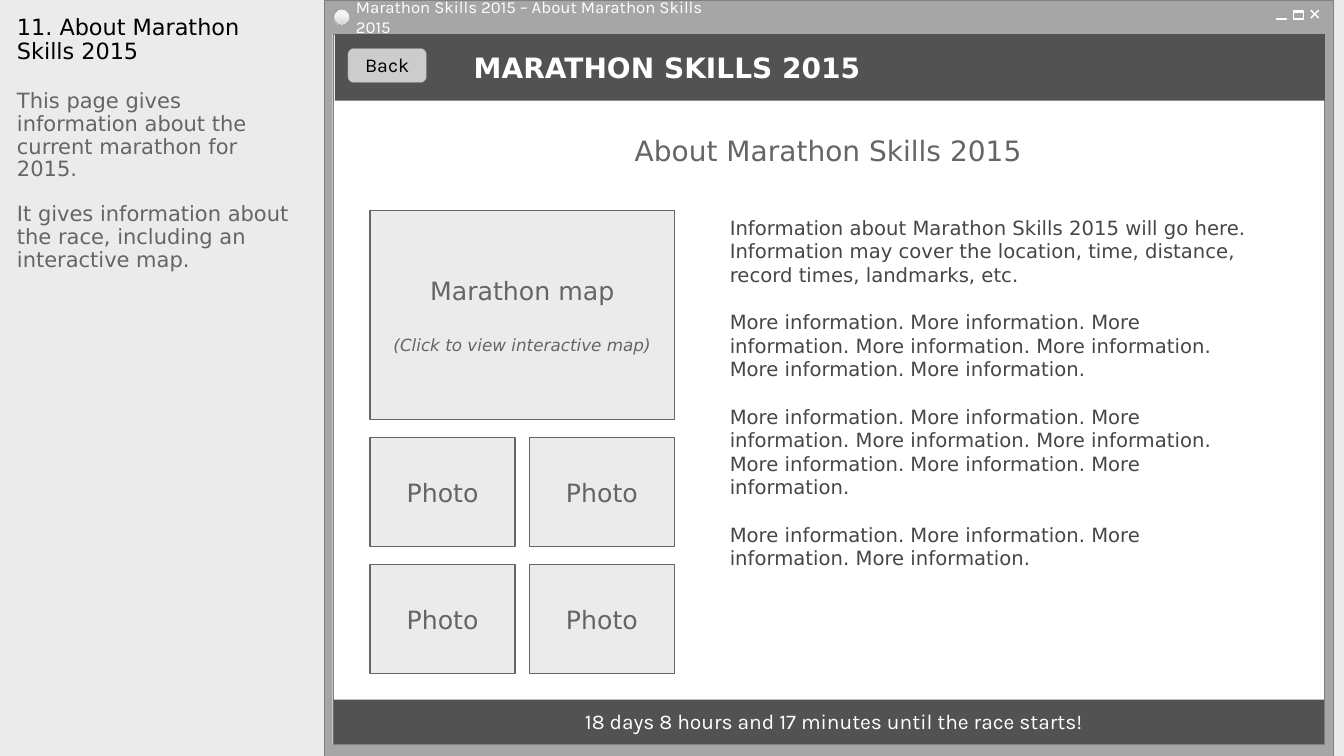
from copy import deepcopy

from lxml.etree import SubElement
from pptx import Presentation
from pptx.dml.color import RGBColor
from pptx.enum.shapes import MSO_CONNECTOR, MSO_SHAPE
from pptx.enum.text import MSO_ANCHOR, PP_ALIGN
from pptx.oxml.ns import qn
from pptx.util import Inches, Pt

COLORS = {
    "white": "FFFFFF", "black": "000000", "paper": "EBEBEB", "frame": "A6A6A6",
    "edge": "808080", "bar": "525252", "button": "CCCCCC", "control": "919191",
    "muted": "656565", "body": "464646", "light": "F2F2F2", "shade": "D9D9D9",
}
SANS, KARLA = "DejaVu Sans", "Karla"
SLIM = (0.1, 0.02, 0.1, 0.03)
NORMAL = (0.1, 0.05, 0.1, 0.05)


def rgb(name):
    return RGBColor.from_string(COLORS[name])


class Wireframe:
    def __init__(self, prs):
        self.slide = prs.slides.add_slide(prs.slide_layouts[6])
        self.shapes = self.slide.shapes
        fill = self.slide.background.fill
        fill.solid()
        fill.fore_color.rgb = rgb("paper")

    def panel(self, box, fill=None, line=None, width=0.25, kind=MSO_SHAPE.RECTANGLE):
        sp = self.shapes.add_shape(kind, *map(Inches, box))
        sp.shadow.inherit = False
        if fill:
            sp.fill.solid()
            sp.fill.fore_color.rgb = rgb(fill)
        else:
            sp.fill.background()
        if line:
            sp.line.color.rgb = rgb(line)
            sp.line.width = Pt(width)
        else:
            sp.line.fill.background()
        return sp

    def orb(self, box, stops):
        sp = self.panel(box, "light", "edge", kind=MSO_SHAPE.OVAL)
        sp.fill.gradient()
        sp.fill.gradient_angle = 270
        gs_list = sp._element.spPr.find(qn("a:gradFill")).find(qn("a:gsLst"))
        gs_list.append(deepcopy(gs_list[0]))
        for stop, (position, color) in zip(sp.fill.gradient_stops, stops):
            stop.position = position
            stop.color.rgb = rgb(color)

    def line(self, x1, y1, x2, y2, color, width):
        cx = self.shapes.add_connector(
            MSO_CONNECTOR.STRAIGHT, *map(Inches, (x1, y1, x2, y2)))
        cx.line.color.rgb = rgb(color)
        cx.line.width = Pt(width)
        SubElement(cx._element.spPr, qn("a:effectLst"))

    def add_text(self, sp, texts, size, color, font=SANS, align=PP_ALIGN.LEFT,
                 anchor=MSO_ANCHOR.MIDDLE, insets=SLIM, bold=False, gap=0, spacing=1.0):
        tf = sp.text_frame
        tf.word_wrap = True
        tf.vertical_anchor = anchor
        tf.margin_left, tf.margin_top, tf.margin_right, tf.margin_bottom = map(Inches, insets)
        for i, text in enumerate(texts):
            p = tf.paragraphs[0] if i == 0 else tf.add_paragraph()
            p.alignment = align
            p.line_spacing = spacing
            p.space_before = Pt(gap if i else 0)
            r = p.add_run()
            r.text = text
            r.font.name = font
            r.font.size = Pt(size)
            r.font.bold = bold
            r.font.color.rgb = rgb(color)
        return tf

    def label(self, box, texts, size, color, **style):
        sp = self.shapes.add_textbox(*map(Inches, box))
        return self.add_text(sp, texts, size, color, **style)

    def tile(self, box, texts, **style):
        sp = self.panel(box, "paper", "muted", 1)
        return self.add_text(sp, texts, 18, "muted", align=PP_ALIGN.CENTER,
                             insets=NORMAL, **style)


def draw_window(s):
    s.panel((3.22, 0, 10, 7.5), "frame", "edge")
    s.panel((3.3, 0.34, 9.83, 7.04), "white", "edge")
    s.label((3.48, 0.05, 3.93, 0.25), ["Marathon Skills 2015 – About Marathon Skills 2015"],
            12, "white", font=KARLA, insets=(0.05, 0.02, 0.1, 0.03))
    s.line(13, 0.1, 13.08, 0.18, "white", 1)
    s.line(13.08, 0.1, 13, 0.18, "white", 1)
    s.panel((12.83, 0.11, 0.1, 0.01), "control", "white")
    s.panel((12.83, 0.11, 0.1, 0.08), None, "white", 1)
    s.panel((12.66, 0.18, 0.1, 0.01), "control", "white")
    s.orb((3.31, 0.09, 0.16, 0.16), [(0.36, "light"), (0.91, "shade"), (1, "light")])


def draw_bars(s):
    s.panel((3.32, 0.34, 9.82, 0.66), "bar")
    s.label((4.6, 0.48, 4.26, 0.39), ["MARATHON SKILLS 2015"], 20, "white", bold=True)
    s.panel((3.31, 6.94, 9.82, 0.44), "bar")
    s.label((4.33, 7.01, 7.88, 0.3),
            ["18 days 8 hours and 17 minutes until the race starts!"],
            15, "white", font=KARLA, align=PP_ALIGN.CENTER)
    back = s.panel((3.45, 0.48, 0.78, 0.34), "button", "edge",
                   kind=MSO_SHAPE.ROUNDED_RECTANGLE)
    s.add_text(back, ["Back"], 14, "black", font=KARLA, align=PP_ALIGN.CENTER,
               insets=(0.1, 0, 0.1, 0.01))


def draw_sidebar(s):
    style = dict(anchor=MSO_ANCHOR.TOP, insets=NORMAL, spacing=0.9)
    s.label((0.07, 0.11, 3.01, 0.73), ["11. About Marathon Skills 2015"],
            16, "black", **style)
    s.label((0.07, 0.85, 3.01, 6.47), [
        "This page gives information about the current marathon for 2015.",
        "It gives information about the race, including an interactive map.",
    ], 15, "muted", gap=16, **style)


def draw_content(s):
    s.label((4.55, 1.3, 7.33, 0.39), ["About Marathon Skills 2015"], 20, "muted",
            align=PP_ALIGN.CENTER)
    intro = ("Information about Marathon Skills 2015 will go here. Information may cover "
             "the location, time, distance, record times, landmarks, etc.")
    fillers = [" ".join(["More information."] * count) for count in (7, 8, 4)]
    s.label((7.14, 2.12, 5.36, 3.58), [intro, *fillers], 14, "body",
            anchor=MSO_ANCHOR.TOP, gap=17)

    tf = s.tile((3.67, 2.09, 3.02, 2.07),
                ["Marathon map", "(Click to view interactive map)"], gap=21)
    hint = tf.paragraphs[1].runs[0].font
    hint.size = Pt(12)
    hint.italic = True
    for row in range(2):
        for col in range(2):
            s.tile((3.67 + 1.58 * col, 4.34 + 1.26 * row, 1.44, 1.08), ["Photo"])


def main():
    prs = Presentation()
    prs.slide_width, prs.slide_height = Inches(13.33), Inches(7.5)
    s = Wireframe(prs)
    draw_window(s)
    draw_bars(s)
    draw_sidebar(s)
    draw_content(s)
    prs.save("out.pptx")


if __name__ == "__main__":
    main()
